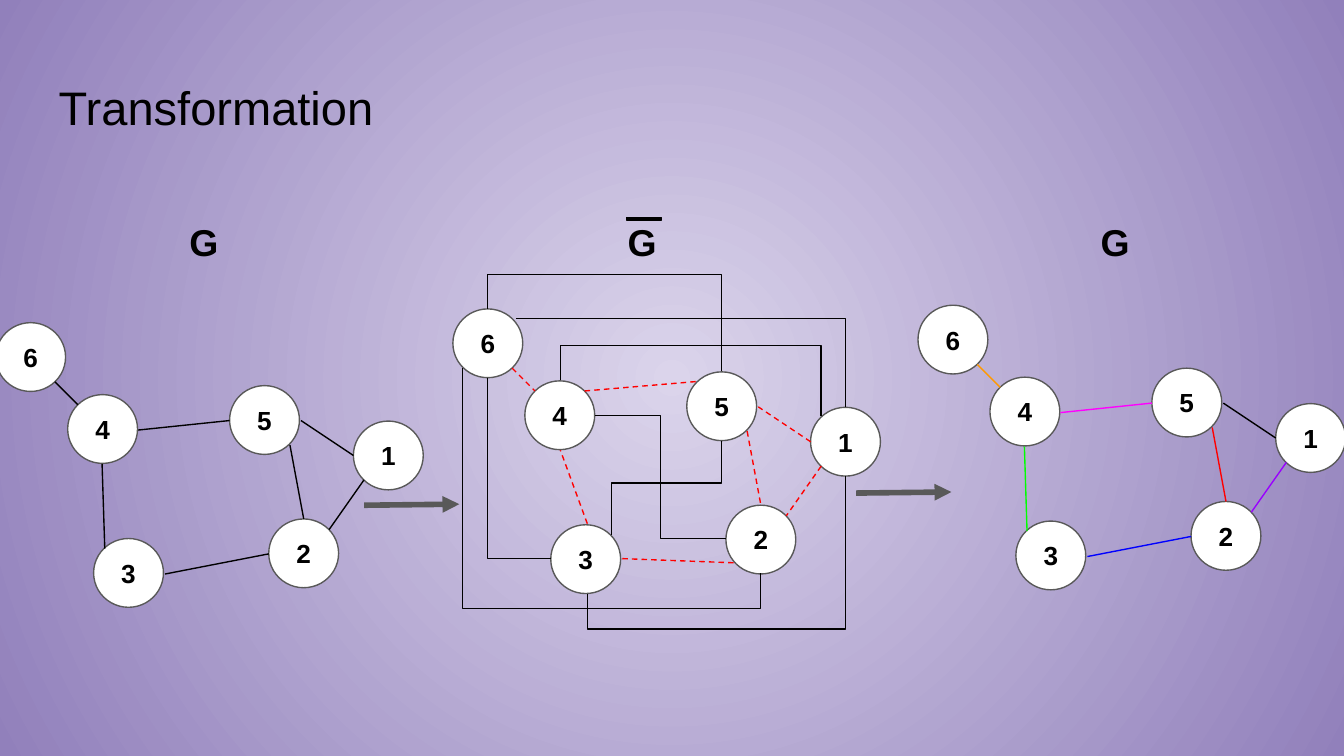
from lxml.etree import SubElement
from pptx import Presentation
from pptx.dml.color import RGBColor
from pptx.enum.dml import MSO_LINE
from pptx.enum.shapes import MSO_CONNECTOR as CONNECTOR, MSO_SHAPE as SHAPE
from pptx.enum.text import MSO_ANCHOR as ANCHOR, MSO_AUTO_SIZE as AUTO_SIZE, PP_ALIGN as ALIGN
from pptx.oxml.ns import qn
from pptx.util import Cm, Pt

COLORS = {
    "center": "DBD4EB", "rim": "9180BB", "black": "000000", "white": "FFFFFF",
    "gray": "595959", "red": "FF0000", "orange": "FF9900", "green": "00FF00",
    "magenta": "FF00FF", "blue": "0000FF", "violet": "9900FF",
}

# All lengths are centimetres; graph points are relative to the graph's origin.
NODE_SIZE = (1.32, 1.3)
NODES = {"6": (0, 0), "4": (1.36, 1.36), "5": (4.42, 1.19),
         "3": (1.85, 4.08), "2": (5.16, 3.71), "1": (6.76, 1.86)}
EDGES = {
    "6-4": ((1.12, 1.12), (1.55, 1.55)),
    "4-3": ((2.01, 2.67), (2.06, 4.27)),
    "4-5": ((2.69, 2.03), (4.42, 1.85)),
    "2-3": ((5.16, 4.37), (3.2, 4.75)),
    "1-2": ((6.96, 2.97), (6.3, 3.91)),
    "1-5": ((6.76, 2.51), (5.77, 1.85)),
    "5-2": ((5.56, 2.31), (5.82, 3.71)),
}
DASHED_EDGES = {
    **EDGES,
    "4-5": ((2.49, 1.55), (4.62, 1.37)),
    "4-3": ((2.54, 4.06), (2.03, 2.67)),
    "2-3": ((3.2, 4.72), (5.36, 4.8)),
}
EDGE_COLORS = {"6-4": "orange", "4-3": "green", "4-5": "magenta", "2-3": "blue",
               "1-2": "violet", "5-2": "red"}

# Complement edges: start, end, leaves vertically, bend (None for a single corner)
BENT_EDGES = [
    ((1.19, 0.18), (7.42, 1.85), False, None),
    ((0.66, 1.3), (1.85, 4.72), True, None),
    ((2.69, 2.01), (5.16, 4.34), False, 0.5),
    ((7.42, 3.15), (2.54, 5.38), True, 1.3),
    ((6.96, 2.03), (2.03, 1.35), True, 1.97),
    ((5.08, 2.49), (3, 4.27), True, 0.45),
    ((5.82, 5), (0.18, 1.12), True, -0.17),
    ((0.66, 0), (5.08, 1.17), True, -0.56),
]


def color(name):
    return RGBColor.from_string(COLORS[name])


def shift(point, origin):
    return point[0] + origin[0], point[1] + origin[1]


def set_background(slide):
    fill = slide.background.fill
    fill.gradient()
    for stop, name, position in zip(fill.gradient_stops, ("center", "rim"), (0, 1)):
        stop.color.rgb = color(name)
        stop.position = position
    gradient = slide.element.find(".//" + qn("a:gradFill"))
    gradient.remove(gradient.find(qn("a:lin")))
    circle = SubElement(gradient, qn("a:path"), path="circle")
    SubElement(circle, qn("a:fillToRect"), {side: "50000" for side in "ltrb"})


def write_text(shape, text, size, bold=True, align=ALIGN.LEFT, **frame_format):
    frame = shape.text_frame
    frame_format = {"word_wrap": True, "vertical_anchor": ANCHOR.TOP, **frame_format}
    for side in ("left", "top", "right", "bottom"):
        frame_format["margin_" + side] = Cm(0.25)
    for name, value in frame_format.items():
        setattr(frame, name, value)
    paragraph = frame.paragraphs[0]
    paragraph.alignment = align
    run = paragraph.add_run()
    run.text = text
    for name, value in {"name": "Arial", "size": Pt(size), "bold": bold}.items():
        setattr(run.font, name, value)
    run.font.color.rgb = color("black")


def add_filled(shapes, kind, position, size, fill, line):
    shape = shapes.add_shape(kind, *map(Cm, (*position, *size)))
    shape.shadow.inherit = False
    shape.fill.solid()
    shape.fill.fore_color.rgb = color(fill)
    shape.line.color.rgb = color(line)
    shape.line.width = Pt(0.75)
    return shape


def add_line(shapes, start, end, name="black", width=0.75, dash=None, kind=CONNECTOR.STRAIGHT):
    connector = shapes.add_connector(kind, *map(Cm, (*start, *end)))
    connector.line.color.rgb = color(name)
    connector.line.width = Pt(width)
    if dash:
        connector.line.dash_style = dash
    SubElement(connector.element.spPr, qn("a:effectLst"))
    return connector


def add_arrow(shapes, start, end):
    arrow = add_line(shapes, start, end, "gray", 3)
    SubElement(arrow.line._get_or_add_ln(), qn("a:tailEnd"), type="triangle")


def add_bent_line(shapes, start, end, vertical, bend):
    (x1, y1), (x2, y2) = start, end
    frame = start, end
    if vertical:  # the unrotated frame swaps width and height about the same centre
        x, y = (x1 + x2) / 2, (y1 + y2) / 2
        half_width, half_height = abs(y2 - y1) / 2, abs(x2 - x1) / 2
        frame = (x - half_width, y - half_height), (x + half_width, y + half_height)
    properties = add_line(shapes, *frame, kind=CONNECTOR.ELBOW).element.spPr
    if vertical:
        rightward, downward = x2 > x1, y2 > y1
        transform = properties.find(qn("a:xfrm"))
        transform.set("rot", str((270 if rightward else 90) * 60000))
        if rightward == downward:
            transform.set("flipH", "1")
    geometry = properties.find(qn("a:prstGeom"))
    geometry.set("prst", "bentConnector2" if bend is None else "bentConnector3")
    if bend is not None:
        SubElement(geometry.find(qn("a:avLst")), qn("a:gd"), name="adj1",
                   fmla=f"val {round(bend * 100000)}")


def add_graph(slide, origin, edges, edge_colors, default="black", dash=None, bent_edges=()):
    shapes = slide.shapes.add_group_shape().shapes
    for label, position in NODES.items():
        node = add_filled(shapes, SHAPE.OVAL, shift(position, origin), NODE_SIZE, "white", "gray")
        write_text(node, label, 14, align=ALIGN.CENTER, vertical_anchor=ANCHOR.MIDDLE)
    for start, end, vertical, bend in bent_edges:
        add_bent_line(shapes, shift(start, origin), shift(end, origin), vertical, bend)
    for edge, (start, end) in edges.items():
        add_line(shapes, shift(start, origin), shift(end, origin),
                 edge_colors.get(edge, default), dash=dash)


def add_title(slide, text):
    title = slide.shapes.title
    box = {"left": 0.86, "top": 1.24, "width": 23.67, "height": 1.6}
    for name, value in box.items():
        setattr(title, name, Cm(value))
    write_text(title, text, 25.2, bold=False, auto_size=AUTO_SIZE.NONE)


def main():
    presentation = Presentation()
    presentation.slide_width, presentation.slide_height = Cm(25.4), Cm(14.29)
    slide = presentation.slides.add_slide(presentation.slide_layouts[5])
    set_background(slide)
    add_title(slide, "Transformation")

    # Graph, coloured graph and complement
    add_graph(slide, (-0.08, 6.1), EDGES, {})
    add_graph(slide, (17.35, 5.77), EDGES, EDGE_COLORS)
    add_graph(slide, (8.56, 5.84), DASHED_EDGES, {}, "red", MSO_LINE.DASH, BENT_EDGES)

    # Arrows between the graphs
    for x, y in ((6.88, 9.55), (16.18, 9.32)):
        add_arrow(slide.shapes, (x, y), (x + 1.8, y - 0.02))

    # Graph names, with a bar over the complement
    for left in (3.33, 11.61, 20.55):
        label = slide.shapes.add_textbox(*map(Cm, (left, 3.89, 1.09, 1.37)))
        write_text(label, "G", 20, auto_size=AUTO_SIZE.SHAPE_TO_FIT_TEXT)
    add_filled(slide.shapes, SHAPE.RECTANGLE, (11.84, 4.11), (0.66, 0.05), "black", "black")

    presentation.save("out.pptx")


if __name__ == "__main__":
    main()
